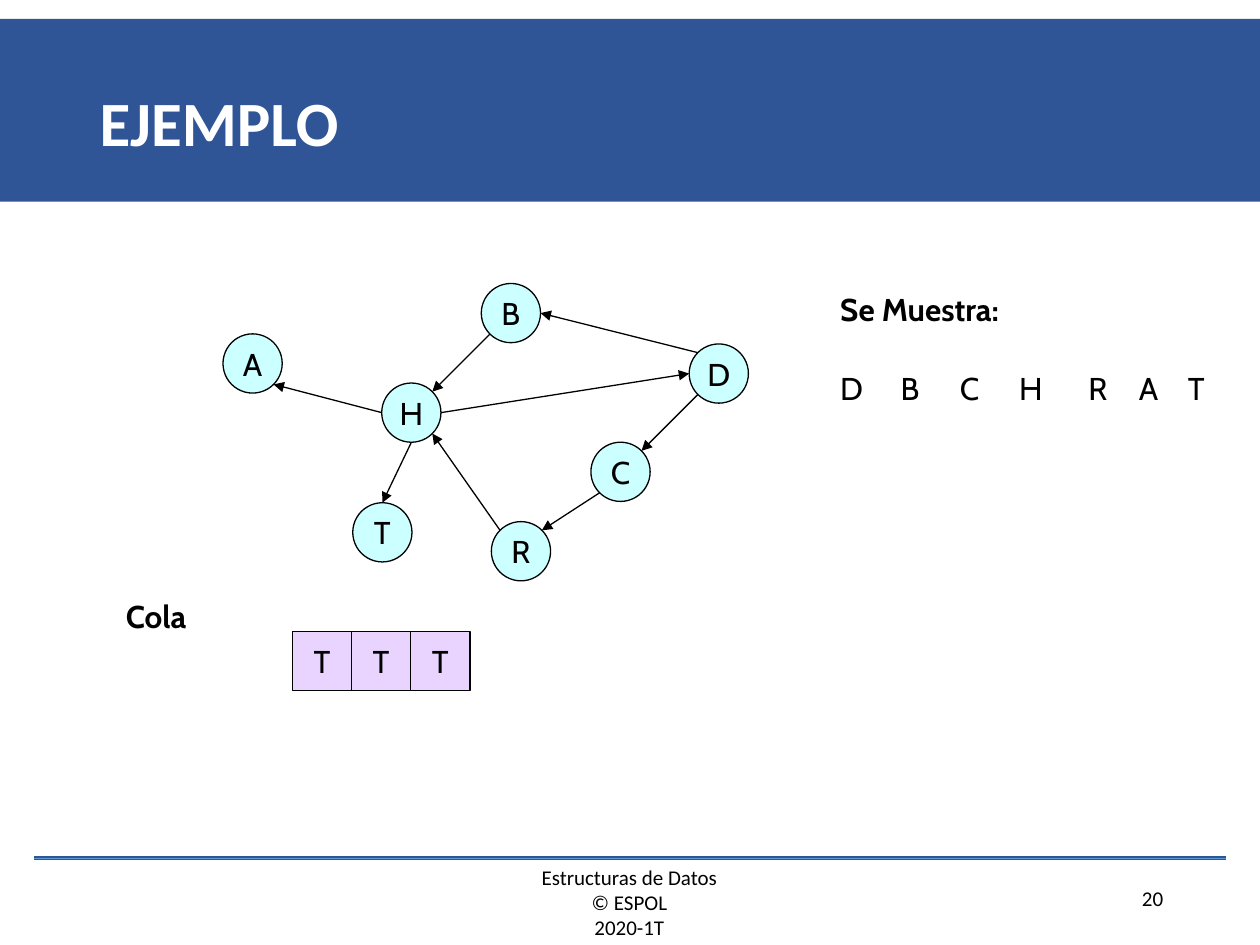
import math

import pptx
import pptx.dml.color
import pptx.enum.shapes
import pptx.enum.text
import pptx.oxml
import pptx.oxml.ns
import pptx.util
from pptx.util import Inches

BLACK = pptx.dml.color.RGBColor(0x00, 0x00, 0x00)
WHITE = pptx.dml.color.RGBColor(0xFF, 0xFF, 0xFF)
NAVY = pptx.dml.color.RGBColor(0x2F, 0x55, 0x97)
SKY = pptx.dml.color.RGBColor(0x5B, 0x9B, 0xD5)
CYAN = pptx.dml.color.RGBColor(0xCC, 0xFF, 0xFF)
LILAC = pptx.dml.color.RGBColor(0xE9, 0xD3, 0xFF)
SHAPE = pptx.enum.shapes.MSO_SHAPE
ALIGN = pptx.enum.text.PP_ALIGN
MIDDLE = pptx.enum.text.MSO_ANCHOR.MIDDLE
SIZE = 0.47

prs = pptx.Presentation()
prs.slide_width = Inches(10)
prs.slide_height = Inches(7.5)
slide = prs.slides.add_slide(prs.slide_layouts[5])
shapes = slide.shapes


def write(shape, text, size=18, font="Cabin", color=BLACK, bold=False, align=ALIGN.LEFT):
    frame = shape.text_frame
    frame.text = text
    frame.word_wrap = True
    for paragraph in frame.paragraphs:
        paragraph.alignment = align
        for run in paragraph.runs:
            run.font.size = pptx.util.Pt(size)
            run.font.name = font
            run.font.bold = bold
            run.font.color.rgb = color


def draw_line(start, end, color, width):
    line = shapes.add_connector(pptx.enum.shapes.MSO_CONNECTOR.STRAIGHT,
                                *(Inches(v) for v in (*start, *end)))
    line.line.color.rgb = color
    line.line.width = pptx.util.Pt(width)
    line._element.spPr.append(pptx.oxml.parse_xml(
        f'<a:effectLst {pptx.oxml.ns.nsdecls("a")}/>'))
    return line


band = shapes.add_shape(SHAPE.RECTANGLE, 0, Inches(0.15), prs.slide_width, Inches(1.45))
band.shadow.inherit = False
band.fill.solid()
band.fill.fore_color.rgb = NAVY
band.line.fill.background()

title = shapes.title
title.left, title.top, title.width, title.height = (Inches(v) for v in (0.69, 0.4, 8.63, 1.2))
write(title, "EJEMPLO", 36, "Calibri", WHITE, True)
title.text_frame.vertical_anchor = MIDDLE
title.text_frame.paragraphs[0].line_spacing = 0.9
band._element.addnext(title._element)

for color, width in ((NAVY, 2.25), (SKY, 0.5)):
    draw_line((0.27, 6.81), (9.73, 6.81), color, width)

footer = shapes.add_textbox(Inches(3.25), Inches(6.81), Inches(3.49), Inches(0.7))
write(footer, "Estructuras de Datos\n© ESPOL\n2020-1T", 12, "Calibri", align=ALIGN.CENTER)
page_number = shapes.add_textbox(Inches(7.2), Inches(6.98), Inches(2.13), Inches(0.31))
write(page_number, "20", 12, "Calibri", align=ALIGN.RIGHT)

nodes = {"A": (1.77, 2.65), "T": (2.8, 3.99), "H": (3.03, 3.04), "B": (3.82, 2.25),
         "D": (5.47, 2.73), "C": (4.69, 3.51), "R": (3.9, 4.14)}
queue = ["T", "T", "T"]
cells = [(SHAPE.OVAL, CYAN, name, place) for name, place in nodes.items()]
cells += [(SHAPE.RECTANGLE, LILAC, name, (2.32 + i * SIZE, 5.01))
          for i, name in enumerate(queue)]
for outline, fill, name, (left, top) in cells:
    cell = shapes.add_shape(outline, Inches(left), Inches(top), Inches(SIZE), Inches(SIZE))
    cell.shadow.inherit = False
    cell.fill.solid()
    cell.fill.fore_color.rgb = fill
    cell.line.color.rgb = BLACK
    cell.line.width = pptx.util.Pt(0.75)
    write(cell, name, align=ALIGN.CENTER)
    cell.text_frame.word_wrap = False
    cell.text_frame.vertical_anchor = MIDDLE

angles = {"E": 0, "SE": 45, "S": 90, "SW": 135, "W": 180, "NW": 225, "N": 270, "NE": 315}
edges = [("H", "W", "A", "SE"), ("H", "S", "T", "N"), ("R", "NW", "H", "SE"),
         ("C", "SW", "R", "NE"), ("H", "E", "D", "W"), ("B", "SW", "H", "NE"),
         ("D", "NW", "B", "E"), ("D", "SW", "C", "NE")]
for source, source_side, target, target_side in edges:
    ends = []
    for name, side in ((source, source_side), (target, target_side)):
        angle = math.radians(angles[side])
        left, top = nodes[name]
        ends.append((left + SIZE / 2 * (1 + math.cos(angle)),
                     top + SIZE / 2 * (1 + math.sin(angle))))
    arrow = draw_line(*ends, BLACK, 0.75)
    arrow.line._get_or_add_ln().append(pptx.oxml.parse_xml(
        f'<a:tailEnd {pptx.oxml.ns.nsdecls("a")} type="triangle"/>'))

labels = [("Cola", 0.9, 4.69, 1.1, True), ("Se Muestra:", 6.57, 2.25, 1.81, True)]
visited = {"D": 6.57, "B": 7.05, "C": 7.52, "H": 7.99, "R": 8.54, "A": 8.94, "T": 9.33}
labels += [(name, left, 2.88, 0.39, False) for name, left in visited.items()]
for text, left, top, width, bold in labels:
    label = shapes.add_textbox(Inches(left), Inches(top), Inches(width), Inches(0.4))
    write(label, text, bold=bold)

prs.save("out.pptx")
